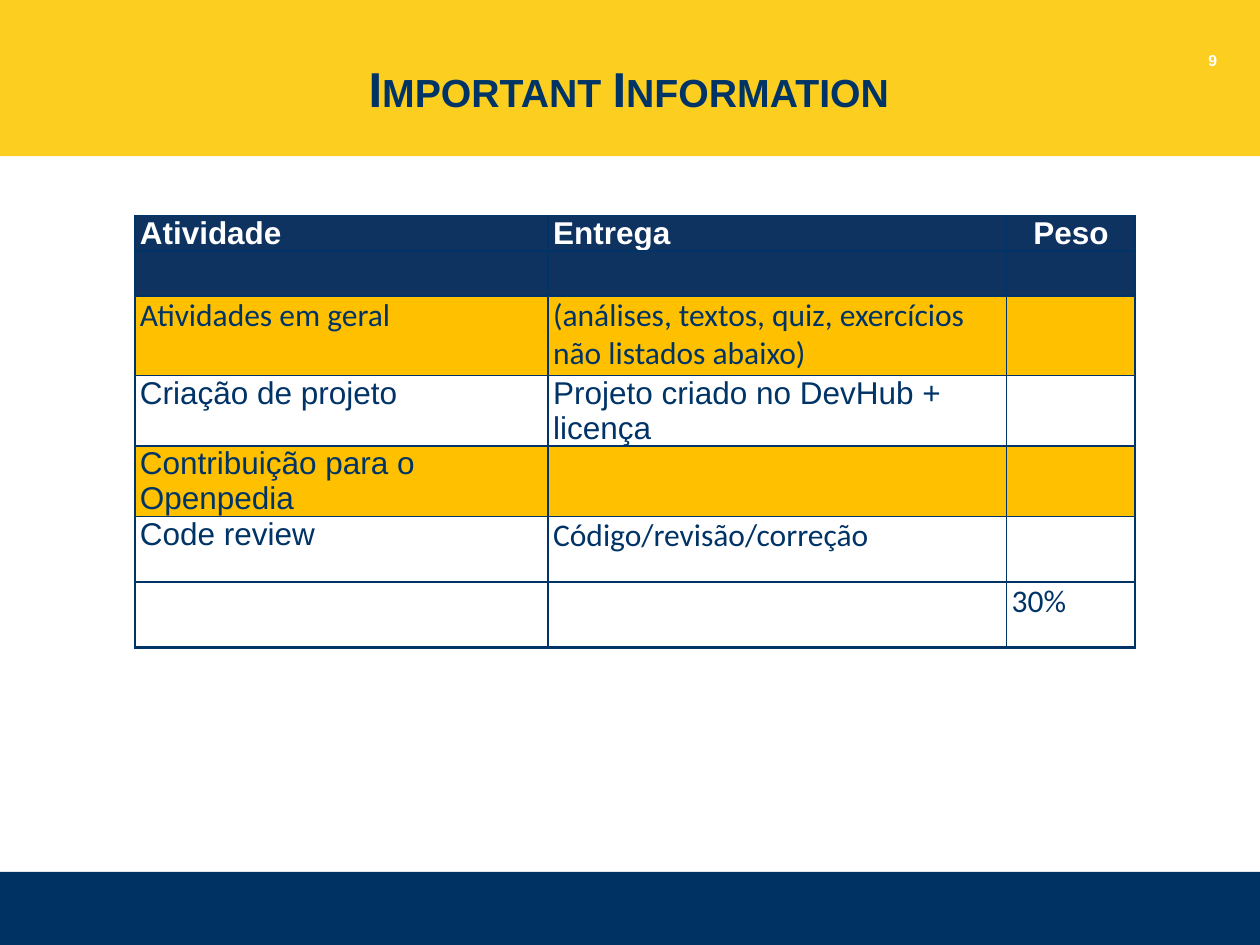
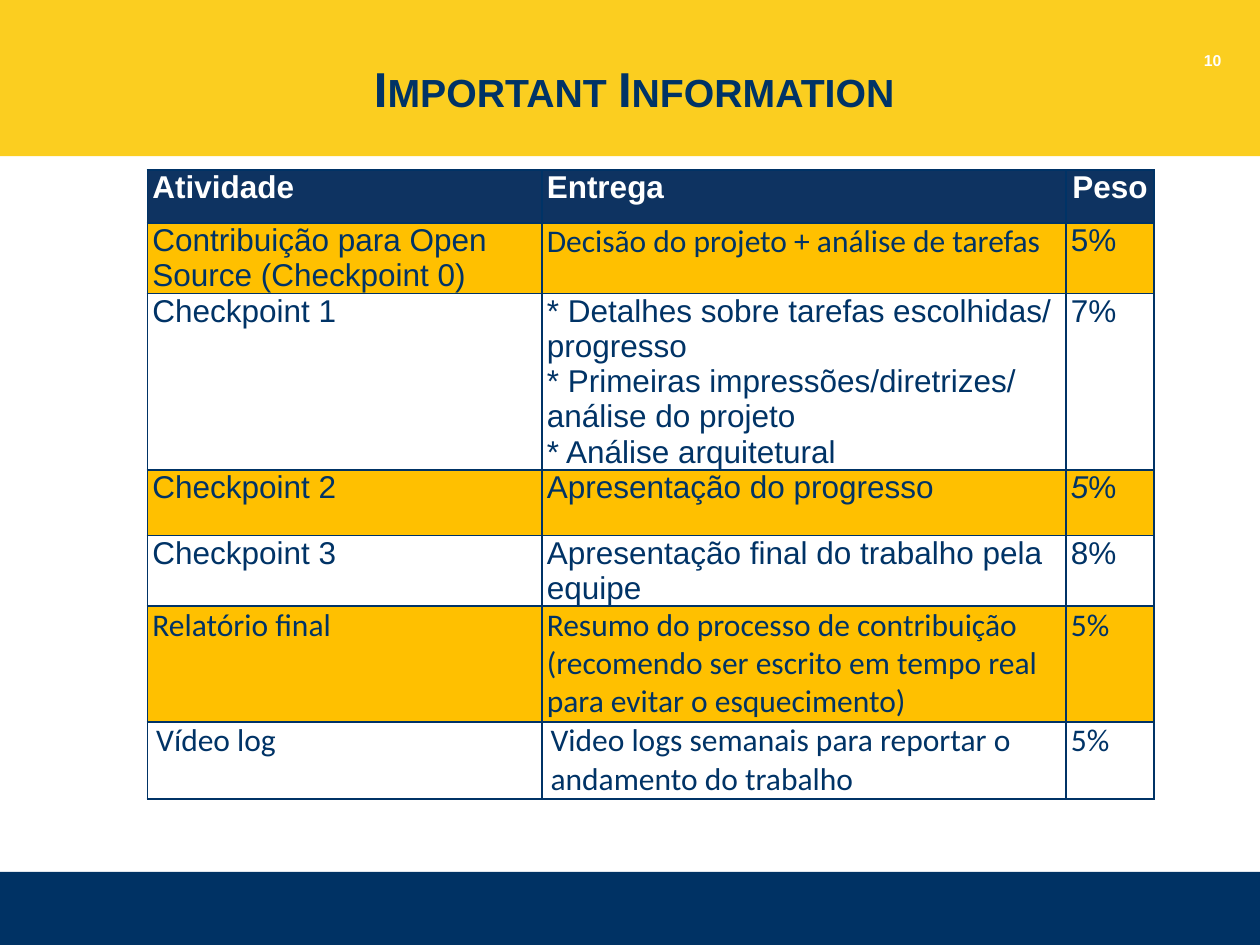
"""Builds two slides listing the graded activities, their deliverables and weights."""
from dataclasses import dataclass

from lxml.etree import SubElement
from pptx import Presentation
from pptx.dml.color import RGBColor
from pptx.enum.shapes import MSO_SHAPE
from pptx.enum.text import MSO_ANCHOR, PP_ALIGN
from pptx.oxml.ns import qn
from pptx.util import Inches, Pt

NAVY = RGBColor(0x00, 0x33, 0x66)
FOOTER_NAVY = RGBColor(0x00, 0x32, 0x64)
HEADER_NAVY = RGBColor(0x0E, 0x33, 0x61)
YELLOW = RGBColor(0xFB, 0xCE, 0x20)
AMBER = RGBColor(0xFF, 0xC0, 0x00)
WHITE = RGBColor(0xFF, 0xFF, 0xFF)
ARIAL = "Arial"
CALIBRI = "Calibri"
THIN_BORDER = 1
THICK_BORDER = 2.25


@dataclass(frozen=True)
class Band:
    top: float
    height: float
    color: RGBColor


@dataclass(frozen=True)
class Entry:
    text: str = ""
    font: str = ARIAL
    inset: float = 0.04
    italic_start: int = 0


@dataclass(frozen=True)
class Row:
    height: float
    entries: tuple[Entry, Entry, Entry]
    fill: RGBColor | None = None
    header: bool = False
    bottom_border: float = THIN_BORDER


@dataclass(frozen=True)
class ActivityPage:
    title: str
    number: int
    left: float
    top: float
    widths: tuple[float, float, float]
    rows: tuple[Row, ...]


BANDS = (
    Band(6.92, 0.58, FOOTER_NAVY),
    Band(0, 1.24, YELLOW),
    Band(1.26, 0.44, WHITE),
)
EMPTY = Entry()
HEADINGS = (Entry("Atividade"), Entry("Entrega"), Entry("Peso"))

PAGES = (
    ActivityPage("Important Information ", 9, 1.07, 1.71, (3.28, 3.64, 1.02), (
        Row(0.28, HEADINGS, HEADER_NAVY, header=True),
        Row(0.36, (EMPTY, EMPTY, EMPTY), HEADER_NAVY, header=True),
        Row(0.63, (
            Entry("Atividades em geral", CALIBRI),
            Entry("(análises, textos, quiz, exercícios não listados abaixo)", CALIBRI),
            EMPTY), AMBER),
        Row(0.56, (
            Entry("Criação de projeto"),
            Entry("Projeto criado no DevHub + licença"),
            EMPTY)),
        Row(0.56, (Entry("Contribuição para o Openpedia"), EMPTY, EMPTY), AMBER),
        Row(0.52, (
            Entry("Code review"),
            Entry("Código/revisão/correção", CALIBRI),
            EMPTY)),
        Row(0.52, (EMPTY, EMPTY, Entry("30%", CALIBRI)), bottom_border=THICK_BORDER),
    )),
    ActivityPage("Important Information", 10, 1.17, 1.35, (3.13, 4.16, 0.7), (
        Row(0.42, HEADINGS, HEADER_NAVY, header=True),
        Row(0.56, (
            Entry("Contribuição para Open Source (Checkpoint 0)"),
            Entry("Decisão do projeto + análise de tarefas", CALIBRI),
            Entry("5%")), AMBER),
        Row(1.4, (
            Entry("Checkpoint 1"),
            Entry("* Detalhes sobre tarefas escolhidas/ progresso\n"
                  "* Primeiras impressões/diretrizes/ análise do projeto\n"
                  "* Análise arquitetural"),
            Entry("7%"))),
        Row(0.52, (
            Entry("Checkpoint 2"),
            Entry("Apresentação do progresso"),
            Entry("5%", italic_start=1)), AMBER),
        Row(0.56, (
            Entry("Checkpoint 3"),
            Entry("Apresentação final do trabalho pela equipe"),
            Entry("8%"))),
        Row(0.92, (
            Entry("Relatório final", CALIBRI),
            Entry("Resumo do processo de contribuição (recomendo ser escrito em "
                  "tempo real para evitar o esquecimento)", CALIBRI),
            Entry("5%", CALIBRI)), AMBER),
        Row(0.61, (
            Entry("Vídeo log", CALIBRI, 0.07),
            Entry("Video logs semanais para reportar o andamento do trabalho", CALIBRI, 0.07),
            Entry("5%", CALIBRI))),
    )),
)


def style_font(font, name: str, size: float, color: RGBColor, bold: bool) -> None:
    font.name, font.size, font.bold = name, Pt(size), bold
    font.color.rgb = color


def add_bands(page, layout) -> None:
    """Draw the bands and move them behind everything on the shared layout."""
    for position, band in enumerate(BANDS, start=2):
        box = page.shapes.add_shape(
            MSO_SHAPE.RECTANGLE, 0, Inches(band.top), Inches(10), Inches(band.height))
        box.shadow.inherit = False
        box.fill.solid()
        box.fill.fore_color.rgb = band.color
        box.line.fill.background()
        layout.shapes._spTree.insert(position, box._element)


def add_title(page, text: str) -> None:
    title = page.shapes.title
    title.left, title.top = Inches(0.49), Inches(0.16)
    title.width, title.height = Inches(9.09), Inches(1.08)
    title.text_frame.text = text
    title.text_frame.vertical_anchor = MSO_ANCHOR.MIDDLE
    para = title.text_frame.paragraphs[0]
    para.alignment = PP_ALIGN.CENTER
    style_font(para.font, ARIAL, 28, NAVY, True)
    para.runs[0].font._element.set("cap", "small")


def add_page_number(page, number: int) -> None:
    box = page.shapes.add_textbox(Inches(9.25), Inches(0.35), Inches(0.75), Inches(0.35))
    box.text_frame.word_wrap = True
    para = box.text_frame.paragraphs[0]
    para.text = str(number)
    para.alignment = PP_ALIGN.CENTER
    style_font(para.font, ARIAL, 9, WHITE, True)


def set_borders(cell, bottom: float) -> None:
    """Outline a cell; borders precede the fill in the cell properties."""
    properties = cell._tc.get_or_add_tcPr()
    widths = {"a:lnL": THIN_BORDER, "a:lnR": THIN_BORDER, "a:lnT": THIN_BORDER, "a:lnB": bottom}
    for side, width in widths.items():
        line = SubElement(properties, qn(side), w=str(Pt(width)))
        SubElement(SubElement(line, qn("a:solidFill")), qn("a:srgbClr"), val=str(NAVY))


def fill_cell(cell, entry: Entry, row: Row, centered: bool) -> None:
    set_borders(cell, row.bottom_border)
    if row.fill is None:
        cell.fill.background()
    else:
        cell.fill.solid()
        cell.fill.fore_color.rgb = row.fill
    cell.margin_left = cell.margin_right = Inches(entry.inset)
    cell.margin_top = cell.margin_bottom = 0
    cell.text_frame.text = entry.text
    for para in cell.text_frame.paragraphs:
        style_font(para.font, entry.font, 18, WHITE if row.header else NAVY, row.header)
        if centered:
            para.alignment = PP_ALIGN.CENTER
    if entry.italic_start:
        para = cell.text_frame.paragraphs[0]
        para.runs[0].text = entry.text[:entry.italic_start]
        para.runs[0].font.italic = True
        para.add_run().text = entry.text[entry.italic_start:]


def add_activity_table(page, content: ActivityPage) -> None:
    frame = page.shapes.add_table(
        len(content.rows), len(content.widths), Inches(content.left), Inches(content.top),
        Inches(sum(content.widths)), Inches(sum(row.height for row in content.rows)))
    table = frame.table
    table.first_row = table.horz_banding = False
    for column, width in zip(table.columns, content.widths):
        column.width = Inches(width)
    for table_row, row in zip(table.rows, content.rows):
        table_row.height = Inches(row.height)
        for index, (cell, entry) in enumerate(zip(table_row.cells, row.entries)):
            fill_cell(cell, entry, row, centered=row.header and index == 2)


def main() -> None:
    deck = Presentation()
    deck.slide_width, deck.slide_height = Inches(10), Inches(7.5)
    layout = deck.slide_layouts.get_by_name("Title Only")
    for content in PAGES:
        page = deck.slides.add_slide(layout)
        if content is PAGES[0]:
            add_bands(page, layout)
        add_title(page, content.title)
        add_activity_table(page, content)
        add_page_number(page, content.number)
    deck.save("out.pptx")


if __name__ == "__main__":
    main()
